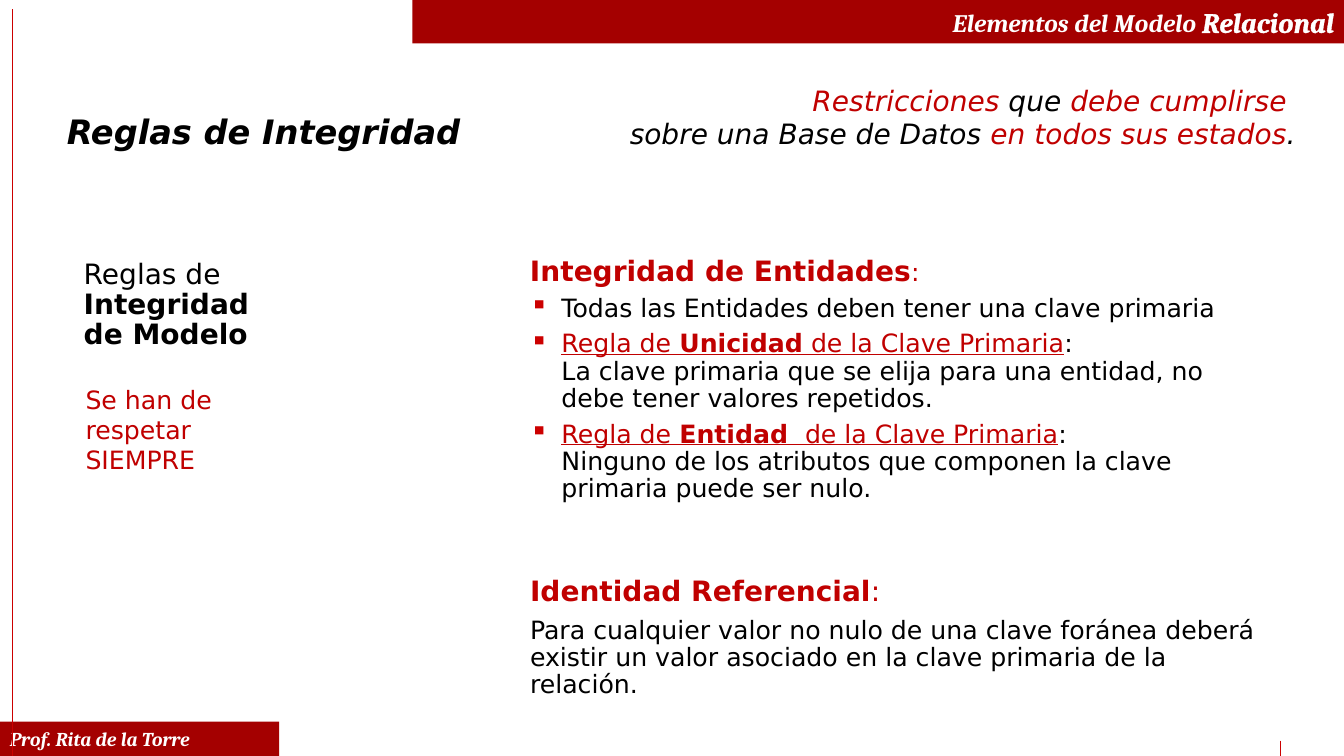
from dataclasses import dataclass

from lxml import etree
from pptx import Presentation
from pptx.dml.color import RGBColor as RGB
from pptx.enum.shapes import MSO_CONNECTOR as CONN, MSO_SHAPE as SHAPE
from pptx.enum.text import MSO_ANCHOR as ANCHOR, PP_ALIGN as ALIGN
from pptx.oxml.ns import qn
from pptx.util import Pt


@dataclass(frozen=True)
class Theme:
    """Colours, fonts and type sizes of the slide."""
    bar: RGB = RGB(0xA4, 0, 0)
    rule: RGB = RGB(0xCC, 0, 0)
    accent: RGB = RGB(0xC0, 0, 0)
    ink: RGB = RGB(0, 0, 0)
    white: RGB = RGB(255, 255, 255)
    serif: str = "Cambria"
    sans: str = "DejaVu Sans"
    small: Pt = Pt(14)
    body: Pt = Pt(18)
    head: Pt = Pt(20)
    title: Pt = Pt(24)


T = Theme()
BLACK = dict(name=T.sans, size=T.body, color=T.ink)
RED = {**BLACK, "color": T.accent}
BAR = dict(name=T.serif, color=T.white, bold=True, italic=True)
HEAD = {**RED, "size": T.head, "bold": True}
LEAD = {**BLACK, "size": T.head}
BOLD = {**LEAD, "bold": True}
CLAIM = {**LEAD, "italic": True}
CLAIM_RED = {**CLAIM, "color": T.accent}
LINK = {**RED, "underline": True}
LINK_BOLD = {**LINK, "bold": True}


def add_run(p, text, fmt):
    """Add text in one format, turning newlines into line breaks."""
    for i, piece in enumerate(text.split("\n")):
        if i:
            p.add_line_break()
        if piece:
            r = p.add_run()
            r.text = piece
            for key, value in fmt.items():
                if key == "color":
                    r.font.color.rgb = value
                else:
                    setattr(r.font, key, value)


def fill_text(tf, paragraphs, **fmt):
    """Write paragraphs, each a list of (text, format), with shared settings."""
    for i, runs in enumerate(paragraphs):
        p = tf.paragraphs[0] if i == 0 else tf.add_paragraph()
        for key, value in fmt.items():
            setattr(p, key, value)
        for text, run_fmt in runs:
            add_run(p, text, run_fmt)


def add_text(s, box, paragraphs, wrap=True, **fmt):
    """Add a text box and return its frame."""
    tf = s.shapes.add_textbox(*map(Pt, box)).text_frame
    tf.word_wrap = wrap
    fill_text(tf, paragraphs, **fmt)
    return tf


def add_bullet(p):
    """Give a paragraph a hanging square bullet."""
    pPr = p._p.get_or_add_pPr()
    pPr.set("marL", str(Pt(22.5)))
    pPr.set("indent", str(-Pt(22.5)))
    color = etree.SubElement(pPr, qn("a:buClr"))
    etree.SubElement(color, qn("a:srgbClr")).set("val", str(T.rule))
    etree.SubElement(pPr, qn("a:buChar")).set("char", "▪")


def add_bar(s, box, runs, align):
    """Add a solid bar with a line of text."""
    sp = s.shapes.add_shape(SHAPE.RECTANGLE, *map(Pt, box))
    sp.shadow.inherit = False
    sp.fill.solid()
    sp.fill.fore_color.rgb = T.bar
    sp.line.fill.background()
    tf = sp.text_frame
    tf.vertical_anchor = ANCHOR.MIDDLE
    fill_text(tf, [runs], alignment=align)
    return tf


def add_rule(s, x, top, bottom, width):
    """Add a thin vertical rule."""
    c = s.shapes.add_connector(CONN.STRAIGHT, *map(Pt, (x, top, x, bottom)))
    c.line.color.rgb = T.rule
    c.line.width = Pt(width)
    etree.SubElement(c._element.spPr, qn("a:effectLst"))


def frame(s, w, h):
    """Draw the footer, the margin rules and the title bar."""
    add_bar(s, (0, h - 24.5, 199.5, 24.5),
            [("Prof. Rita de la Torre", {**BAR, "size": T.small})], ALIGN.LEFT)
    add_rule(s, w - 45, h - 11, h, 0.75)
    add_rule(s, 8.8, 6.5, h, 0.5)
    tf = add_bar(s, (294.5, 0, w - 294.5, 31),
                 [("Elementos del Modelo ", {**BAR, "size": T.body}),
                  ("Relacional", {**BAR, "size": T.head})], ALIGN.RIGHT)
    rPr = tf.paragraphs[0].runs[1].font._element
    ln = etree.Element(qn("a:ln"), w=str(Pt(0.25)))
    solid = etree.SubElement(ln, qn("a:solidFill"))
    etree.SubElement(solid, qn("a:srgbClr")).set("val", str(T.white))
    rPr.insert(0, ln)


def heading(s, x, y, w):
    """Place the topic on the left and its definition on the right."""
    add_text(s, (x, y + 19.5, 300, 36),
             [[("Reglas de Integridad", {**BOLD, "size": T.title, "italic": True})]],
             wrap=False, alignment=ALIGN.RIGHT)
    add_text(s, (x + 197, y, w - 197, 55.5),
             [[("Restricciones", CLAIM_RED), (" que ", CLAIM),
               ("debe cumplirse \n", CLAIM_RED), ("sobre una Base de Datos ", CLAIM),
               ("en todos sus estados", CLAIM_RED), (".", CLAIM)]],
             alignment=ALIGN.RIGHT)


def model_rules(s, x, y, w):
    """Place the side label and its red remark."""
    tf = add_text(s, (x, y, w, 91.5),
                  [[("Reglas de ", LEAD), ("Integridad \nde Modelo", BOLD)]],
                  line_spacing=0.9)
    for side in ("left", "top", "right", "bottom"):
        setattr(tf, f"margin_{side}", Pt(5.8))
    add_text(s, (x, y + 91, w + 14.5, 72.5), [[("Se han de respetar SIEMPRE", RED)]])


def key_rule(name, ending, text):
    """Return the runs of one named primary key rule."""
    return [("Regla de ", LINK), (name, LINK_BOLD),
            (" de la Clave Primaria", LINK), (f": \n{text}", BLACK)]


def integrity(s, x, y, w):
    """Place the entity rules above the referential rule."""
    tf = add_text(s, (x, y, w, 210), [
        [("Integridad de Entidades", HEAD), (":", RED)],
        [("Todas las Entidades deben tener una clave primaria", BLACK)],
        key_rule("Unicidad", "", "La clave primaria que se elija para una entidad, "
                 "no debe tener valores repetidos."),
        key_rule("Entidad ", "", "Ninguno de los atributos que componen la clave "
                 "primaria puede ser nulo."),
    ], line_spacing=0.9, space_after=Pt(6))
    for p in tf.paragraphs[1:]:
        add_bullet(p)
    add_text(s, (x, y + 229, w + 5, 96.5), [
        [("Identidad Referencial", HEAD), (":", {**HEAD, "bold": False})],
        [("Para cualquier valor no nulo de una clave foránea deberá existir un "
          "valor asociado en la clave primaria de la relación.", BLACK)],
    ], line_spacing=0.9, space_after=Pt(7))


def main():
    """Build and save the slide."""
    prs = Presentation()
    prs.slide_width, prs.slide_height = Pt(960), Pt(540)
    s = prs.slides.add_slide(prs.slide_layouts[6])
    frame(s, 960, 540)
    heading(s, 36, 56, 896.5)
    model_rules(s, 54, 180, 137)
    integrity(s, 371.5, 180, 534)
    prs.save("out.pptx")


if __name__ == "__main__":
    main()
